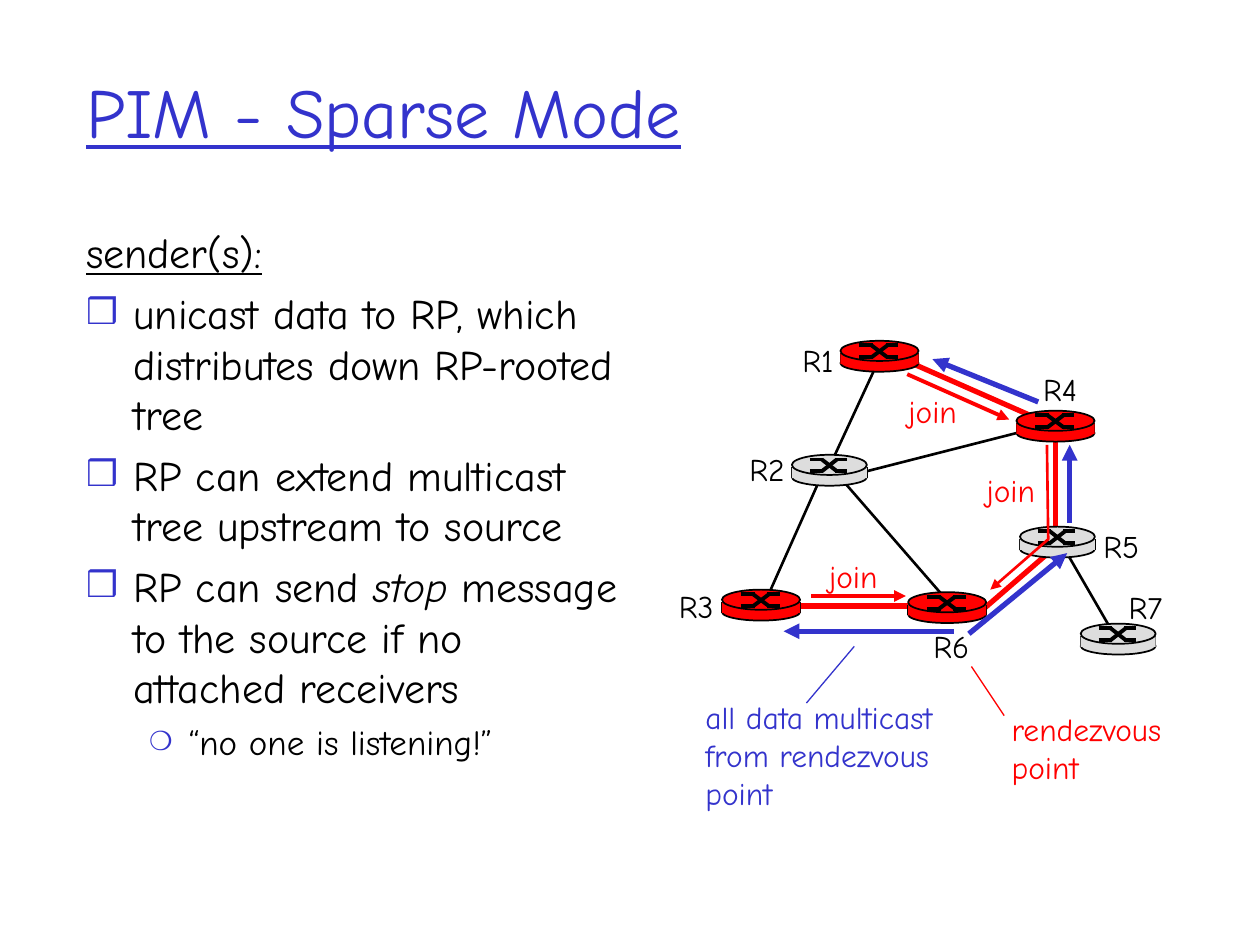
from dataclasses import dataclass

import pptx
import pptx.dml.color
import pptx.enum.shapes
import pptx.enum.text
import pptx.oxml
import pptx.oxml.ns
import pptx.util

FONT = "Comic Neue"
BLUE, RED, GREY, BLACK = "3333CC", "FF0000", "DDDDDD", "000000"
SHAPE = pptx.enum.shapes.MSO_SHAPE
AUTO = pptx.enum.text.MSO_AUTO_SIZE
ANCHOR = pptx.enum.text.MSO_ANCHOR

prs = pptx.Presentation()
prs.slide_width, prs.slide_height = pptx.util.Inches(10), pptx.util.Inches(7.5)
CELL = prs.slide_width / 100  # the slide is a grid of 100 columns and 75 rows
TEXT_LEFT = 5.85


@dataclass
class Router:
    name: str
    col: float
    row: float
    color: str
    label_col: float
    label_row: float

    @property
    def width(self) -> float:
        return 6.2 if self.color == RED else 5.95


@dataclass
class Line:
    start: tuple[float, float]
    end: tuple[float, float]
    color: str
    weight: float
    arrow: bool = False


@dataclass
class Label:
    text: str
    col: float
    row: float
    cols: float
    rows: float
    color: str


@dataclass
class Item:
    runs: list[str]  # every second run is italic
    size: int = 24
    bullet: str = ""
    bullet_size: int = 85
    level: int = 0
    indent: float = 3.75
    hanging: float = 3.75
    before: int = 6


ROUTERS = [
    Router("R6", 72.07, 47.0, RED, 73.1, 49.3),
    Router("R4", 80.67, 32.6, RED, 81.8, 28.9),
    Router("R3", 57.3, 46.8, RED, 52.9, 46.1),
    Router("R5", 80.95, 41.8, GREY, 86.6, 41.3),
    Router("R2", 62.85, 36.1, GREY, 58.5, 35.2),
    Router("R1", 66.7, 27.05, RED, 62.7, 26.6),
    Router("R7", 85.77, 49.5, GREY, 88.6, 46.2),
]

LINKS = [
    Line((84.1, 42.9), (88.5, 50.5), BLACK, 1.5),
    Line((68.8, 37.4), (83.7, 33.6), BLACK, 1.5),
    Line((65.9, 37.0), (75.2, 47.7), BLACK, 1.5),
    Line((72.3, 28.8), (83.2, 33.6), RED, 3),
    Line((78.1, 48.3), (84.0, 43.2), RED, 3),
    Line((83.8, 34.7), (83.8, 42.6), RED, 3),
    Line((62.3, 48.1), (73.6, 48.1), RED, 3),
    Line((65.0, 38.2), (60.9, 47.4), BLACK, 1.5),
    Line((69.6, 28.9), (65.8, 37.1), BLACK, 1.5),
]

FLOWS = [
    Line((64.4, 47.3), (71.9, 47.3), RED, 2.25, True),
    Line((72.0, 29.7), (80.1, 33.3), RED, 2.25, True),
    Line((75.7, 50.1), (62.2, 50.1), BLUE, 3, True),
    Line((76.9, 50.3), (84.7, 43.9), BLUE, 3, True),
    Line((84.9, 41.5), (84.9, 35.3), BLUE, 3, True),
    Line((82.4, 31.9), (74.0, 28.5), BLUE, 3, True),
    Line((64.0, 55.8), (67.8, 51.3), BLUE, 0.75),
    Line((77.1, 52.9), (79.7, 56.8), RED, 0.75),
]
JOIN_ROUTE = [(83.1, 35.3), (83.2, 42.8), (78.6, 46.8)]

LABELS = [Label(r.name, r.label_col, r.label_row, 5, 4, BLACK) for r in ROUTERS]
LABELS += [Label("join", col, row, 6.2, 4, RED)
           for col, row in [(77.3, 36.9), (71.1, 30.6), (64.8, 43.7)]]
LABELS += [
    Label("all data multicast\nfrom rendezvous\npoint", 55, 54.9, 20.3, 10, BLUE),
    Label("rendezvous\npoint", 79.3, 55.85, 14.2, 7, RED),
]

ITEMS = [
    Item(["sender(s):"], before=0),
    Item(["unicast data to RP, which distributes down RP-rooted tree"], bullet="❒"),
    Item(["RP can extend multicast tree upstream to source"], bullet="❒"),
    Item(["RP can send ", "stop", " message to the source if no attached receivers"],
         bullet="❒"),
    Item(["“no one is listening!”"], size=20, bullet="❍", bullet_size=75, level=1,
         indent=8.13, hanging=3.13, before=5),
]


def grid(*cells: float) -> list[int]:
    return [round(c * CELL) for c in cells]


def rgb(color: str) -> pptx.dml.color.RGBColor:
    return pptx.dml.color.RGBColor.from_string(color)


def add_child(parent, tag: str, **attributes):
    child = pptx.oxml.parse_xml(f"<{tag} {pptx.oxml.ns.nsdecls('a')}/>")
    for name, value in attributes.items():
        child.set(name, value)
    parent.append(child)
    return child


def stroke(sp, line: Line) -> None:
    sp.line.color.rgb = rgb(line.color)
    sp.line.width = pptx.util.Pt(line.weight)
    if line.arrow:
        add_child(sp.line._get_or_add_ln(), "a:tailEnd", type="triangle")


def draw_line(shapes, line: Line) -> None:
    c = shapes.add_connector(pptx.enum.shapes.MSO_CONNECTOR.STRAIGHT,
                             *grid(*line.start, *line.end))
    stroke(c, line)
    add_child(c._element.spPr, "a:effectLst")


def draw_solid(shapes, kind, box: tuple, color: str, outlined: bool = True) -> None:
    sp = shapes.add_shape(kind, *grid(*box))
    sp.shadow.inherit = False
    sp.fill.solid()
    sp.fill.fore_color.rgb = rgb(color)
    if outlined:
        sp.line.color.rgb = rgb(BLACK)
        sp.line.width = pptx.util.Pt(1)
    else:
        sp.line.fill.background()


def draw_router(s, router: Router) -> None:
    """Draw a short cylinder with two crossing tracks on its lid."""
    shapes = s.shapes.add_group_shape().shapes
    x, y, w = router.col, router.row, router.width
    draw_solid(shapes, SHAPE.OVAL, (x, y + 1.1, w, 1.35), router.color)
    for side in (x, x + w):
        draw_line(shapes, Line((side, y + 1), (side, y + 1.85), BLACK, 1))
    draw_solid(shapes, SHAPE.RECTANGLE, (x, y + 1, w, 0.85), router.color, False)
    draw_solid(shapes, SHAPE.OVAL, (x, y, w, 1.6), router.color)
    top, bottom = y + 0.37, y + 1.3
    for near, far in [(top, bottom), (bottom, top)]:
        for left, right, y1, y2 in [(0.24, 0.42, near, near), (0.58, 0.74, far, far),
                                    (0.4, 0.6, near, far)]:
            draw_line(shapes, Line((x + left * w, y1), (x + right * w, y2), BLACK, 2.25))


def add_text_box(s, box: tuple, wrap: bool, auto_size, anchor=ANCHOR.TOP):
    tf = s.shapes.add_textbox(*grid(*box)).text_frame
    tf.word_wrap, tf.auto_size, tf.vertical_anchor = wrap, auto_size, anchor
    return tf


def format_font(font, size: float, color: str) -> None:
    font.name, font.size = FONT, pptx.util.Pt(size)
    font.color.rgb = rgb(color)


def draw_label(s, label: Label) -> None:
    tf = add_text_box(s, (label.col, label.row, label.cols, label.rows), False,
                      AUTO.SHAPE_TO_FIT_TEXT)
    tf.text = label.text
    for p in tf.paragraphs:
        format_font(p.runs[0].font, 18, label.color)


def fill_item(p, item: Item) -> None:
    pPr = p._p.get_or_add_pPr()
    indent, hanging = grid(item.indent, item.hanging)
    pPr.set("marL", str(indent))
    pPr.set("indent", str(-hanging))
    if item.bullet:
        add_child(add_child(pPr, "a:buClr"), "a:srgbClr", val=BLUE)
        add_child(pPr, "a:buSzPct", val=str(item.bullet_size * 1000))
        add_child(pPr, "a:buFont", typeface=FONT)
        add_child(pPr, "a:buChar", char=item.bullet)
    p.level, p.space_before = item.level, pptx.util.Pt(item.before)
    for i, text in enumerate(item.runs):
        r = p.add_run()
        r.text = text
        format_font(r.font, item.size, BLACK)
        r.font.italic = i % 2 == 1
        r.font.underline = not item.bullet


def main() -> None:
    s = prs.slides.add_slide(prs.slide_layouts[6])

    tf = add_text_box(s, (TEXT_LEFT, 2.5, 85, 12.5), True, AUTO.NONE, ANCHOR.MIDDLE)
    tf.text = "PIM - Sparse Mode"
    font = tf.paragraphs[0].runs[0].font
    format_font(font, 40, BLUE)
    font.underline = True

    tf = add_text_box(s, (TEXT_LEFT, 17.5, 44.3, 50.8), True, AUTO.NONE)
    for i, item in enumerate(ITEMS):
        fill_item(tf.add_paragraph() if i else tf.paragraphs[0], item)

    for link in LINKS:
        draw_line(s.shapes, link)
    for router in ROUTERS:
        draw_router(s, router)

    start, *rest = JOIN_ROUTE
    builder = s.shapes.build_freeform(*grid(*start))
    builder.add_line_segments([grid(*point) for point in rest], close=False)
    sp = builder.convert_to_shape()
    sp.shadow.inherit = False
    sp.fill.background()
    stroke(sp, Line(start, rest[-1], RED, 1.5, True))

    for flow in FLOWS:
        draw_line(s.shapes, flow)
    for label in LABELS:
        draw_label(s, label)
    prs.save("out.pptx")


if __name__ == "__main__":
    main()
